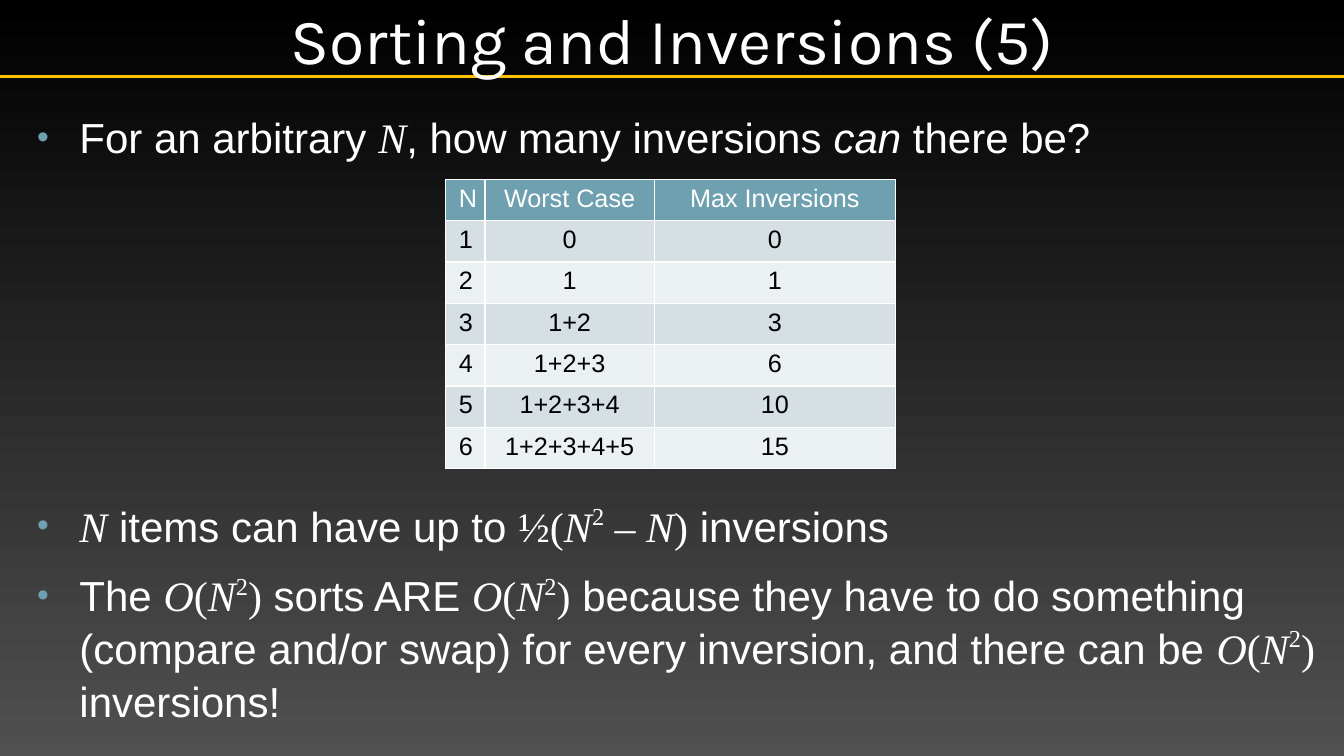
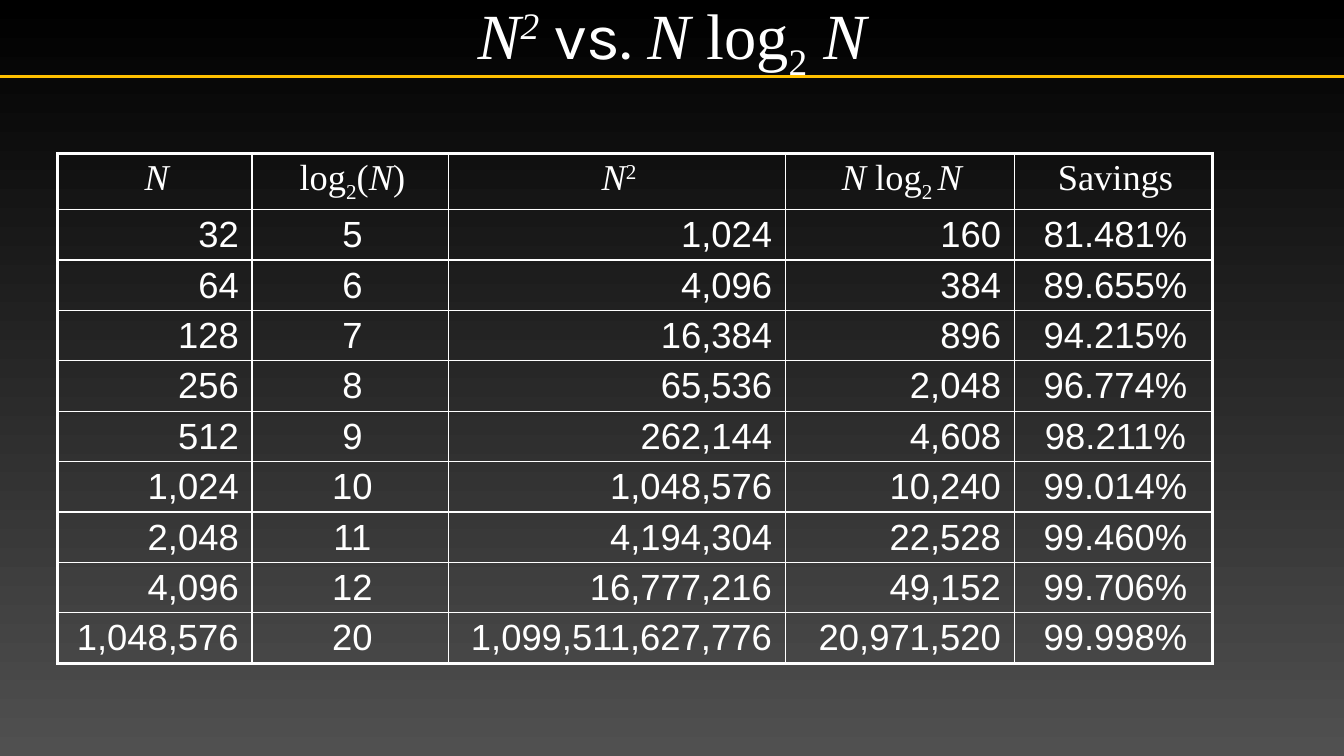
from lxml.etree import SubElement
from pptx import Presentation
from pptx.dml.color import RGBColor
from pptx.enum.shapes import MSO_CONNECTOR
from pptx.enum.text import MSO_ANCHOR, MSO_AUTO_SIZE, PP_ALIGN
from pptx.oxml.ns import qn
from pptx.util import Inches, Pt

WIDTH, HEIGHT = 13.33, 7.5
TITLE_HEIGHT, RULE_TOP = 0.77, 0.76
WHITE, BLACK, GRAY = "FFFFFF", "000000", "505050"
GOLD, TEAL = "FFC000", "6EA0B0"
STRIPES = ["D5DFE4", "EBF0F2"]
LEFT, CENTER, RIGHT = PP_ALIGN.LEFT, PP_ALIGN.CENTER, PP_ALIGN.RIGHT

# Each style: font name, italic, baseline shift in percent
STYLES = {
    "body": ("Arial", False, 0),
    "emphasis": ("Arial", True, 0),
    "heading": ("Karla", False, 0),
    "math": ("Times New Roman", False, 0),
    "variable": ("Times New Roman", True, 0),
    "power": ("Times New Roman", False, 40),
    "low power": ("Times New Roman", False, 30),
    "italic power": ("Times New Roman", True, 30),
    "base": ("Times New Roman", False, -25),
}

N = ("variable", "N")
N_SQUARED = [N, ("power", "2")]
QUADRATIC = [("variable", "O"), ("math", "("), *N_SQUARED, ("math", ")")]

INVERSIONS_TITLE = [("heading", "Sorting and Inversions (5)")]
# Each bullet: space before in points, runs
BULLETS = [
    (0, [("body", "For an arbitrary "), N, ("body", ", how many inversions "),
         ("emphasis", "can"), ("body", " there be?")]),
    (240, [N, ("body", " items can have up to "), ("math", "½("), *N_SQUARED,
           ("math", " – "), N, ("math", ")"), ("body", " inversions")]),
    (12, [("body", "The "), *QUADRATIC, ("body", " sorts ARE "), *QUADRATIC,
          ("body", " because they have to do something (compare and/or swap)"
                   " for every inversion, and there can be "),
          *QUADRATIC, ("body", " inversions!")]),
]
INVERSIONS = [
    ["N", "Worst Case", "Max Inversions"],
    ["1", "0", "0"],
    ["2", "1", "1"],
    ["3", "1+2", "3"],
    ["4", "1+2+3", "6"],
    ["5", "1+2+3+4", "10"],
    ["6", "1+2+3+4+5", "15"],
]

GROWTH_TITLE = [N, ("italic power", "2"), ("heading", " vs. "), N,
                ("math", " log"), ("base", "2"), ("variable", " N")]
GROWTH = [
    [[N], [("math", "log"), ("base", "2"), ("math", "("), N, ("math", ")")],
     [N, ("low power", "2")], [N, ("math", " log"), ("base", "2 "), N],
     [("math", "Savings")]],
    ["32", "5", "1,024", "160", "81.481%"],
    ["64", "6", "4,096", "384", "89.655%"],
    ["128", "7", "16,384", "896", "94.215%"],
    ["256", "8", "65,536", "2,048", "96.774%"],
    ["512", "9", "262,144", "4,608", "98.211%"],
    ["1,024", "10", "1,048,576", "10,240", "99.014%"],
    ["2,048", "11", "4,194,304", "22,528", "99.460%"],
    ["4,096", "12", "16,777,216", "49,152", "99.706%"],
    ["1,048,576", "20", "1,099,511,627,776", "20,971,520", "99.998%"],
]
GROWTH_ALIGNMENT = [RIGHT, CENTER, RIGHT, RIGHT, CENTER]


def color(value):
    return RGBColor.from_string(value)


def apply(target, **values):
    for name, value in values.items():
        setattr(target, name, value)


def write(paragraph, runs, size, ink=WHITE, alignment=LEFT):
    """Fill a paragraph from plain text or (style, text) pairs."""
    paragraph.alignment = alignment
    for style, text in [("body", runs)] if isinstance(runs, str) else runs:
        name, italic, shift = STYLES[style]
        run = paragraph.add_run()
        run.text = text
        apply(run.font, name=name, italic=italic, size=Pt(size), bold=False)
        run.font.color.rgb = color(ink)
        if shift:
            run._r.get_or_add_rPr().set("baseline", str(shift * 1000))


def set_background(master):
    fill = master.background.fill
    fill.gradient()
    fill.gradient_angle = 270
    for stop, value, position in zip(fill.gradient_stops, [BLACK, GRAY], [0, 1]):
        stop.color.rgb = color(value)
        stop.position = position


def add_rule(slide, layout):
    """Draw the gold rule and move it to the layout, behind every title."""
    rule = slide.shapes.add_connector(MSO_CONNECTOR.STRAIGHT, 0, Inches(RULE_TOP),
                                      Inches(WIDTH), Inches(RULE_TOP))
    rule.line.color.rgb = color(GOLD)
    rule.line.width = Pt(2.5)
    SubElement(rule.element.spPr, qn("a:effectLst"))
    layout.shapes.element.append(rule.element)


def add_titled_slide(presentation, layout, runs):
    slide = presentation.slides.add_slide(layout)
    title = slide.shapes.title
    apply(title, left=0, top=0, width=Inches(WIDTH), height=Inches(TITLE_HEIGHT))
    inset = Inches(0.05)
    apply(title.text_frame, vertical_anchor=MSO_ANCHOR.MIDDLE, word_wrap=True,
          auto_size=MSO_AUTO_SIZE.NONE, margin_left=inset, margin_right=inset,
          margin_top=inset, margin_bottom=inset)
    write(title.text_frame.paragraphs[0], runs, 46, alignment=CENTER)
    return slide


def add_bullets(slide, bullets, left, top, width, height):
    box = slide.shapes.add_textbox(*map(Inches, (left, top, width, height)))
    frame = box.text_frame
    frame.word_wrap = True
    for index, (space, runs) in enumerate(bullets):
        paragraph = frame.add_paragraph() if index else frame.paragraphs[0]
        write(paragraph, runs, 30)
        apply(paragraph, line_spacing=1.05, space_before=Pt(space))
        properties = paragraph._p.get_or_add_pPr()
        properties.set("marL", str(Inches(0.42)))
        properties.set("indent", str(-Inches(0.42)))
        tint = SubElement(properties, qn("a:buClr"))
        SubElement(tint, qn("a:srgbClr"), val=TEAL)
        SubElement(properties, qn("a:buSzPct"), val="80000")
        SubElement(properties, qn("a:buFont"), typeface="Arial")
        SubElement(properties, qn("a:buChar"), char="•")


def set_borders(cell, widths):
    """Draw white cell borders, widths given as left, right, top, bottom."""
    properties = cell._tc.get_or_add_tcPr()
    for side, width in zip("LRTB", widths):
        line = SubElement(properties, qn(f"a:ln{side}"), w=str(Pt(width)))
        fill = SubElement(line, qn("a:solidFill"))
        SubElement(fill, qn("a:srgbClr"), val=WHITE)


def add_grid(slide, rows, left, top, columns, header_height, row_height, size,
             alignment, outline=1, indent=0, striped=False):
    heights = [header_height] + [row_height] * (len(rows) - 1)
    table = slide.shapes.add_table(
        len(rows), len(columns), Inches(left), Inches(top),
        Inches(sum(columns)), Inches(sum(heights))).table
    for column, width in zip(table.columns, columns):
        column.width = Inches(width)
    last_row, last_column = len(rows) - 1, len(columns) - 1
    for r, (values, height) in enumerate(zip(rows, heights)):
        table.rows[r].height = Inches(height)
        for c, value in enumerate(values):
            cell = table.cell(r, c)
            apply(cell, margin_left=Inches(0.13), margin_right=Inches(0.13),
                  margin_top=Inches(0.05), margin_bottom=Inches(0.04))
            edges = (c == 0, c == last_column, r == 0, r == last_row)
            set_borders(cell, [outline if edge else 1 for edge in edges])
            if striped:
                cell.fill.solid()
                cell.fill.fore_color.rgb = color(STRIPES[(r - 1) % 2] if r else TEAL)
            else:
                cell.fill.background()
            paragraph = cell.text_frame.paragraphs[0]
            write(paragraph, value, size, BLACK if striped and r else WHITE,
                  alignment[c] if r else CENTER)
            paragraph._p.get_or_add_pPr().set("marL", str(Inches(indent)))


def main():
    presentation = Presentation()
    apply(presentation, slide_width=Inches(WIDTH), slide_height=Inches(HEIGHT))
    set_background(presentation.slide_master)
    layout = presentation.slide_layouts.get_by_name("Title Only")

    slide = add_titled_slide(presentation, layout, INVERSIONS_TITLE)
    add_rule(slide, layout)
    add_bullets(slide, BULLETS, 0.27, 1.03, 12.9, 6.2)
    add_grid(slide, INVERSIONS, 4.42, 1.78, [0.39, 1.68, 2.39], 0.41, 0.41, 18,
             [CENTER] * 3, striped=True)

    slide = add_titled_slide(presentation, layout, GROWTH_TITLE)
    add_grid(slide, GROWTH, 0.57, 1.52, [1.93, 1.95, 3.34, 2.27, 1.97], 0.56, 0.5,
             26, GROWTH_ALIGNMENT, outline=2.25, indent=0.04)

    presentation.save("out.pptx")


if __name__ == "__main__":
    main()
